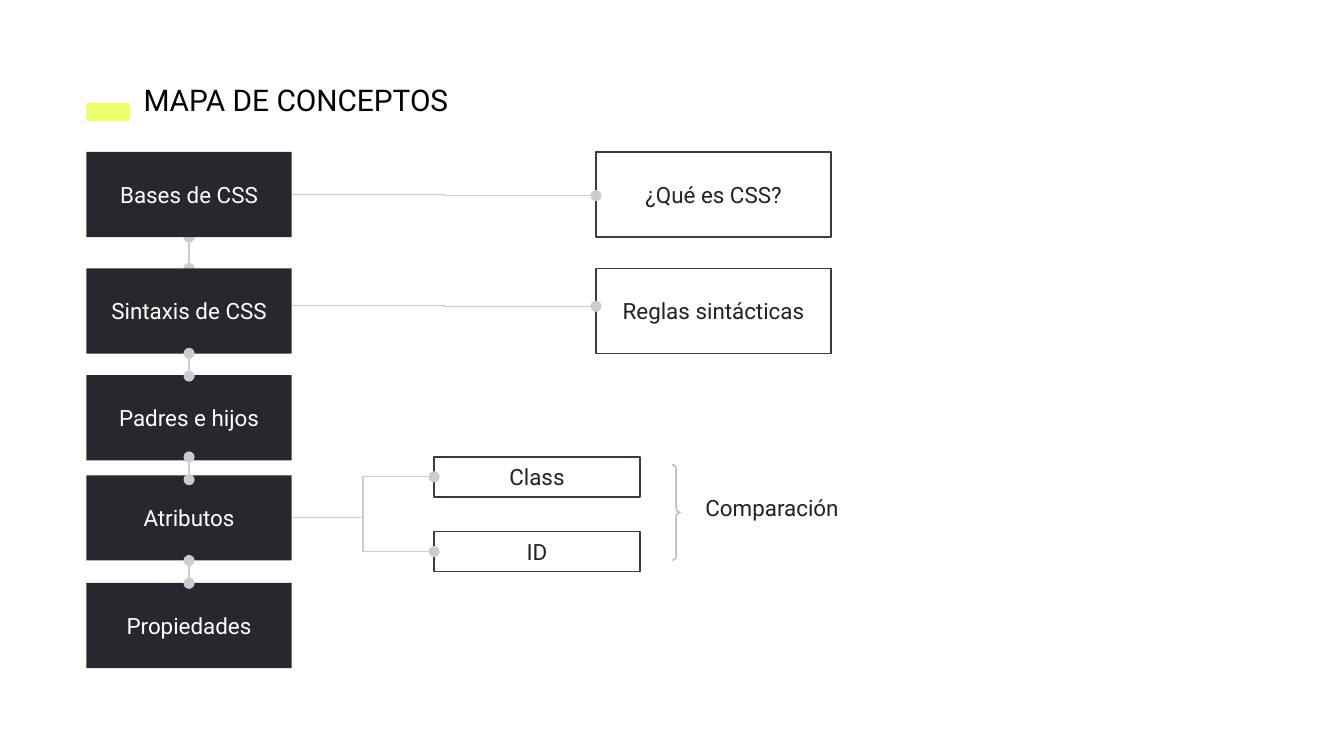
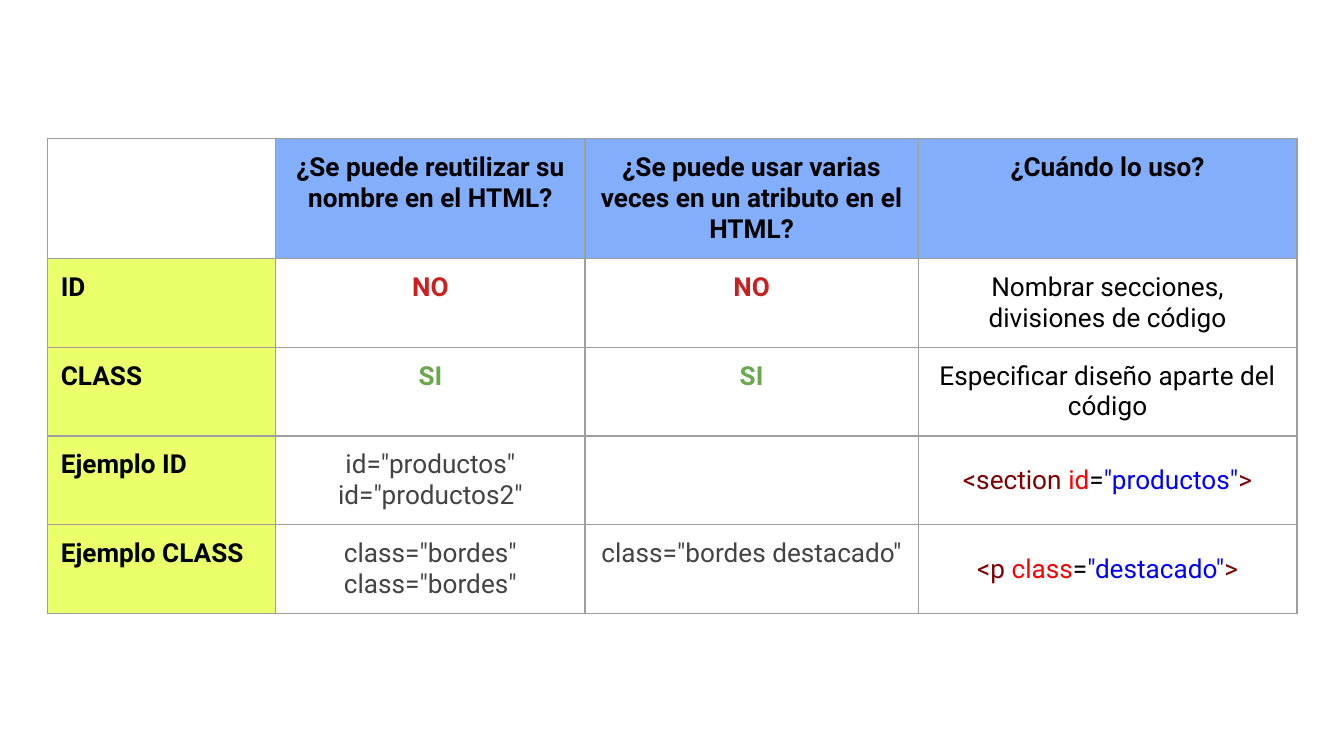
from lxml.etree import SubElement
from pptx import Presentation
from pptx.dml.color import RGBColor
from pptx.enum.shapes import MSO_CONNECTOR, MSO_SHAPE
from pptx.enum.text import MSO_ANCHOR, PP_ALIGN
from pptx.oxml.ns import qn
from pptx.util import Pt

FONT = "Roboto"
BLACK = RGBColor(0x00, 0x00, 0x00)
WHITE = RGBColor(0xFF, 0xFF, 0xFF)
LIME = RGBColor(0xEA, 0xFF, 0x6A)
CHARCOAL = RGBColor(0x27, 0x28, 0x2D)
OUTLINE = RGBColor(0x39, 0x3B, 0x43)
INK = RGBColor(0x22, 0x22, 0x22)
LINK = RGBColor(0xCC, 0xCC, 0xCC)
BRACE = RGBColor(0xB7, 0xB7, 0xB7)
HEADER_BLUE = RGBColor(0x83, 0xAE, 0xFB)
GRID = RGBColor(0x9E, 0x9E, 0x9E)
RED = RGBColor(0xC9, 0x21, 0x21)
GREEN = RGBColor(0x6A, 0xA8, 0x4F)
GRAY = RGBColor(0x43, 0x43, 0x43)
TAG = RGBColor(0x80, 0x00, 0x00)
ATTRIBUTE = RGBColor(0xFF, 0x00, 0x00)
VALUE = RGBColor(0x00, 0x00, 0xFF)

LINE_WIDTH = 0.75
INSET = Pt(7.2)
MARGINS = {"margin_left": INSET, "margin_right": INSET,
           "margin_top": INSET, "margin_bottom": INSET}


def set_attributes(target, values):
    for name, value in values.items():
        setattr(target, name, value)


def add_run(paragraph, text, color, size, bold=False):
    run = paragraph.add_run()
    run.text = text
    set_attributes(run.font, {"name": FONT, "size": Pt(size), "bold": bold})
    run.font.color.rgb = color


def add_text(slide, box, text, color, size):
    text_frame = slide.shapes.add_textbox(*map(Pt, box)).text_frame
    set_attributes(text_frame, {**MARGINS, "word_wrap": True})
    add_run(text_frame.paragraphs[0], text, color, size)


def add_box(slide, box, text="", fill=None, outline=None, color=INK,
            kind=MSO_SHAPE.RECTANGLE):
    shape = slide.shapes.add_shape(kind, *map(Pt, box))
    shape.shadow.inherit = False
    if fill is None:
        shape.fill.background()
    else:
        shape.fill.solid()
        shape.fill.fore_color.rgb = fill
    if outline is None:
        shape.line.fill.background()
    else:
        shape.line.color.rgb = outline
        shape.line.width = Pt(LINE_WIDTH)
    if text:
        set_attributes(shape.text_frame, {
            **MARGINS, "word_wrap": True, "vertical_anchor": MSO_ANCHOR.MIDDLE})
        paragraph = shape.text_frame.paragraphs[0]
        paragraph.alignment = PP_ALIGN.CENTER
        add_run(paragraph, text, color, 12)
    return shape


def add_link(slide, start, end, kind=MSO_CONNECTOR.STRAIGHT, ends=("tailEnd",)):
    connector = slide.shapes.add_connector(kind, *map(Pt, (*start, *end)))
    connector.line.color.rgb = LINK
    connector.line.width = Pt(LINE_WIDTH)
    properties = connector._element.spPr
    for end_name in ends:
        SubElement(properties.find(qn("a:ln")), qn(f"a:{end_name}"), type="oval")
    SubElement(properties, qn("a:effectLst"))


def add_title(slide, left, top, text):
    add_box(slide, (left, top + 18.6, 23.2, 9.6), fill=LIME)
    add_text(slide, (left + 23.5, top, 193.7, 33.8), text, BLACK, 16)


def add_topic_column(slide, left, top, width, height):
    """Dark topic boxes, joined from top to bottom."""
    topics = [("Bases de CSS", 0), ("Sintaxis de CSS", 62.4), ("Padres e hijos", 119.6),
              ("Atributos", 173.3), ("Propiedades", 230.9)]
    center = left + width / 2
    both_ends = ("headEnd", "tailEnd")
    # The first link goes behind the boxes
    add_link(slide, (center, top + 62.4), (center, top + height), ends=both_ends)
    for text, offset in topics:
        add_box(slide, (left, top + offset, width, height), text, CHARCOAL, color=WHITE)
    for offset in (107.9, 163.4, 218.9):
        add_link(slide, (center, top + offset), (center, top + offset + 12.2),
                 ends=both_ends)


def add_details(slide, left, top, start, height):
    """Outlined boxes to the right, linked from the topic edge at start."""
    for text, offset, link_offset in (("¿Qué es CSS?", 0, 22.9),
                                      ("Reglas sintácticas", 62.4, 82.2)):
        add_box(slide, (left, top + offset, 126, height), text, outline=OUTLINE)
        add_link(slide, (start, top + link_offset), (left, top + link_offset + 0.5),
                 MSO_CONNECTOR.ELBOW)


def add_comparison(slide, left, top, start):
    """Class and ID, braced together."""
    width, height = 110.2, 21.4
    for text, offset in (("Class", 0), ("ID", 40)):
        add_box(slide, (left, top + offset, width, height), text, WHITE, OUTLINE)
        add_link(slide, (start, top + 32.4), (left, top + offset + height / 2),
                 MSO_CONNECTOR.ELBOW)
    brace = add_box(slide, (left + 127.5, top + 4.2, 4.3, 51.1), outline=BRACE,
                    kind=MSO_SHAPE.RIGHT_BRACE)
    brace.adjustments[0] = 0.5
    brace.adjustments[1] = 0.5
    add_text(slide, (left + 138.2, top + 13, 93.6, 17.3), "Comparación", INK, 12)


def build_concept_map(slide, left, top):
    width, height = 110, 45.6
    add_title(slide, left, top - 44.7, "MAPA DE CONCEPTOS")
    add_topic_column(slide, left, top, width, height)
    add_details(slide, left + 273, top, left + width, height)
    add_comparison(slide, left + 186.3, top + 163.4, left + width)


def format_cell(cell, fill):
    set_attributes(cell, MARGINS)
    properties = cell._tc.get_or_add_tcPr()
    for side in ("lnL", "lnR", "lnT", "lnB"):
        line = SubElement(properties, qn(f"a:{side}"), w=str(Pt(LINE_WIDTH)))
        solid = SubElement(line, qn("a:solidFill"))
        SubElement(solid, qn("a:srgbClr"), val=str(GRID))
    if fill is None:
        cell.fill.background()
    else:
        cell.fill.solid()
        cell.fill.fore_color.rgb = fill


def markup(tag, attribute, value):
    return [("<" + tag, TAG), (" ", BLACK), (attribute, ATTRIBUTE), ("=", BLACK),
            (f'"{value}"', VALUE), (">", TAG)]


def fill_cell(cell, content, color, bold, alignment):
    """Content is text with one paragraph a line, or a list of coloured pieces."""
    is_markup = isinstance(content, list)
    lines = [content] if is_markup else [[(line, color)] for line in content.split("\n")]
    for index, pieces in enumerate(lines):
        text_frame = cell.text_frame
        paragraph = text_frame.add_paragraph() if index else text_frame.paragraphs[0]
        paragraph.alignment = alignment
        if is_markup:
            paragraph.line_spacing = 1.5
        for text, piece_color in pieces:
            add_run(paragraph, text, piece_color, 14, bold)


def build_comparison_table(slide, left, top):
    widths = (122.4, 165.6, 178.5, 202.9)
    heights = (62.6, 46.8, 46.8, 46.8, 46.8)
    rows = [
        ("", "¿Se puede reutilizar su nombre en el HTML?",
         "¿Se puede usar varias veces en un atributo en el HTML?", "¿Cuándo lo uso?"),
        ("ID", "NO", "NO", "Nombrar secciones, divisiones de código"),
        ("CLASS", "SI", "SI", "Especificar diseño aparte del código"),
        ("Ejemplo ID", 'id="productos"\nid="productos2"', "",
         markup("section", "id", "productos")),
        ("Ejemplo CLASS", 'class="bordes"\nclass="bordes"', 'class="bordes destacado"',
         markup("p", "class", "destacado")),
    ]
    answer_colors = {"NO": RED, "SI": GREEN}
    table = slide.shapes.add_table(len(rows), len(widths), Pt(left), Pt(top),
                                   Pt(sum(widths)), Pt(sum(heights))).table
    set_attributes(table, {"first_row": False, "horz_banding": False})
    for column, width in zip(table.columns, widths):
        column.width = Pt(width)
    for row, height in zip(table.rows, heights):
        row.height = Pt(height)
    for row_index, contents in enumerate(rows):
        for column_index, content in enumerate(contents):
            cell = table.cell(row_index, column_index)
            is_header, is_label = row_index == 0, column_index == 0
            fill = None
            if is_header != is_label:
                fill = HEADER_BLUE if is_header else LIME
            format_cell(cell, fill)
            if not content:
                continue
            is_answer = not is_label and row_index in (1, 2) and column_index < 3
            color = BLACK
            if is_answer:
                color = answer_colors[content]
            elif row_index > 2 and not is_label:
                color = GRAY
            fill_cell(cell, content, color, is_header or is_label or is_answer,
                      PP_ALIGN.LEFT if is_label else PP_ALIGN.CENTER)


def main():
    presentation = Presentation()
    set_attributes(presentation, {"slide_width": Pt(720), "slide_height": Pt(405)})
    blank = presentation.slide_layouts[6]
    build_concept_map(presentation.slides.add_slide(blank), 46.3, 81.4)
    build_comparison_table(presentation.slides.add_slide(blank), 25.4, 74.4)
    presentation.save("out.pptx")


if __name__ == "__main__":
    main()
